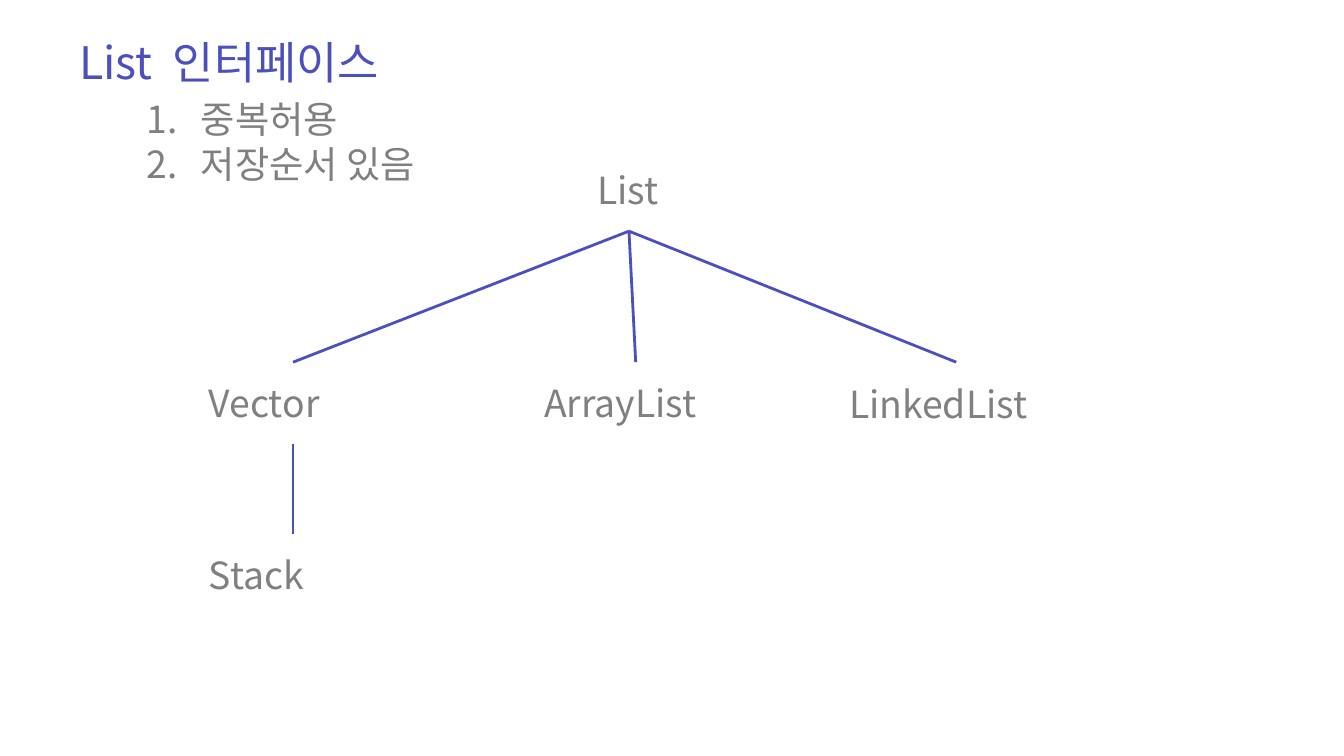
from lxml import etree
from pptx import Presentation
from pptx import util as u
from pptx.dml import color
from pptx.enum import shapes, text
from pptx.oxml import ns

FACE = "Noto Sans CJK KR"
BLUE, GRAY = "4C50BC", "808080"


def tint(code):
    return color.RGBColor.from_string(code)


def place(shape, box):
    for name, size in zip(("left", "top", "width", "height"), box):
        setattr(shape, name, u.Inches(size))


def write(shape, lines, size, code):
    frame = shape.text_frame
    frame.text = "\n".join(lines)
    form = {"word_wrap": True, "vertical_anchor": text.MSO_ANCHOR.TOP,
            "auto_size": text.MSO_AUTO_SIZE.SHAPE_TO_FIT_TEXT}
    for key, value in form.items():
        setattr(frame, key, value)
    for para in frame.paragraphs:
        form = {"alignment": text.PP_ALIGN.LEFT, "space_before": u.Pt(0),
                "line_spacing": u.Pt(size * 1.2)}
        for key, value in form.items():
            setattr(para, key, value)
        font = para.runs[0].font
        for key, value in {"name": FACE, "size": u.Pt(size), "bold": False}.items():
            setattr(font, key, value)
        font.color.rgb = tint(code)
        east = etree.SubElement(para.runs[0]._r.get_or_add_rPr(), ns.qn("a:ea"))
        east.set("typeface", FACE)


def head(slide, box):
    title = slide.shapes.title
    place(title, box)
    write(title, ["List  인터페이스"], 48, BLUE)


def rules(slide, box):
    body = slide.placeholders[1]
    place(body, box)
    write(body, ["중복허용", "저장순서 있음"], 40, GRAY)
    for para in body.text_frame.paragraphs:
        props = para._p.get_or_add_pPr()
        indent = u.Inches(0.81)
        props.set("marL", str(indent))
        props.set("indent", str(-indent))
        etree.SubElement(props, ns.qn("a:buFont")).set("typeface", FACE)
        etree.SubElement(props, ns.qn("a:buAutoNum")).set("type", "arabicPeriod")


def label(slide, word, box):
    note = slide.shapes.add_textbox(*map(u.Inches, box))
    write(note, [word], 40, GRAY)


def link(slide, start, end):
    line = slide.shapes.add_connector(
        shapes.MSO_CONNECTOR.STRAIGHT, *map(u.Inches, start + end))
    line.line.color.rgb = tint(BLUE)
    line.line.width = u.Pt(3)
    etree.SubElement(line._element.spPr, ns.qn("a:effectLst"))


def tree(slide, left, top):
    nodes = [("List", 5.78, 0, 1.69), ("Vector", 0, 3.17, 2.78),
             ("ArrayList", 4.99, 3.17, 3.1), ("LinkedList", 9.53, 3.19, 3.33),
             ("Stack", 0, 5.73, 2.78)]
    for word, x, y, wide in nodes:
        label(slide, word, (left + x, top + y, wide, 0.77))
    root = (left + 6.35, top + 1)
    for x in (1.35, 6.45, 11.22):
        link(slide, root, (left + x, top + 2.95))
    stem = left + 1.35
    link(slide, (stem, top + 4.17), (stem, top + 5.51))


def main():
    deck = Presentation()
    deck.slide_width, deck.slide_height = u.Inches(20), u.Inches(11.25)
    slide = deck.slides.add_slide(deck.slide_layouts[1])
    head(slide, (1.08, 0.46, 5.5, 0.91))
    rules(slide, (2.08, 1.38, 5.42, 1.45))
    tree(slide, 3.01, 2.44)
    deck.save("out.pptx")


if __name__ == "__main__":
    main()
